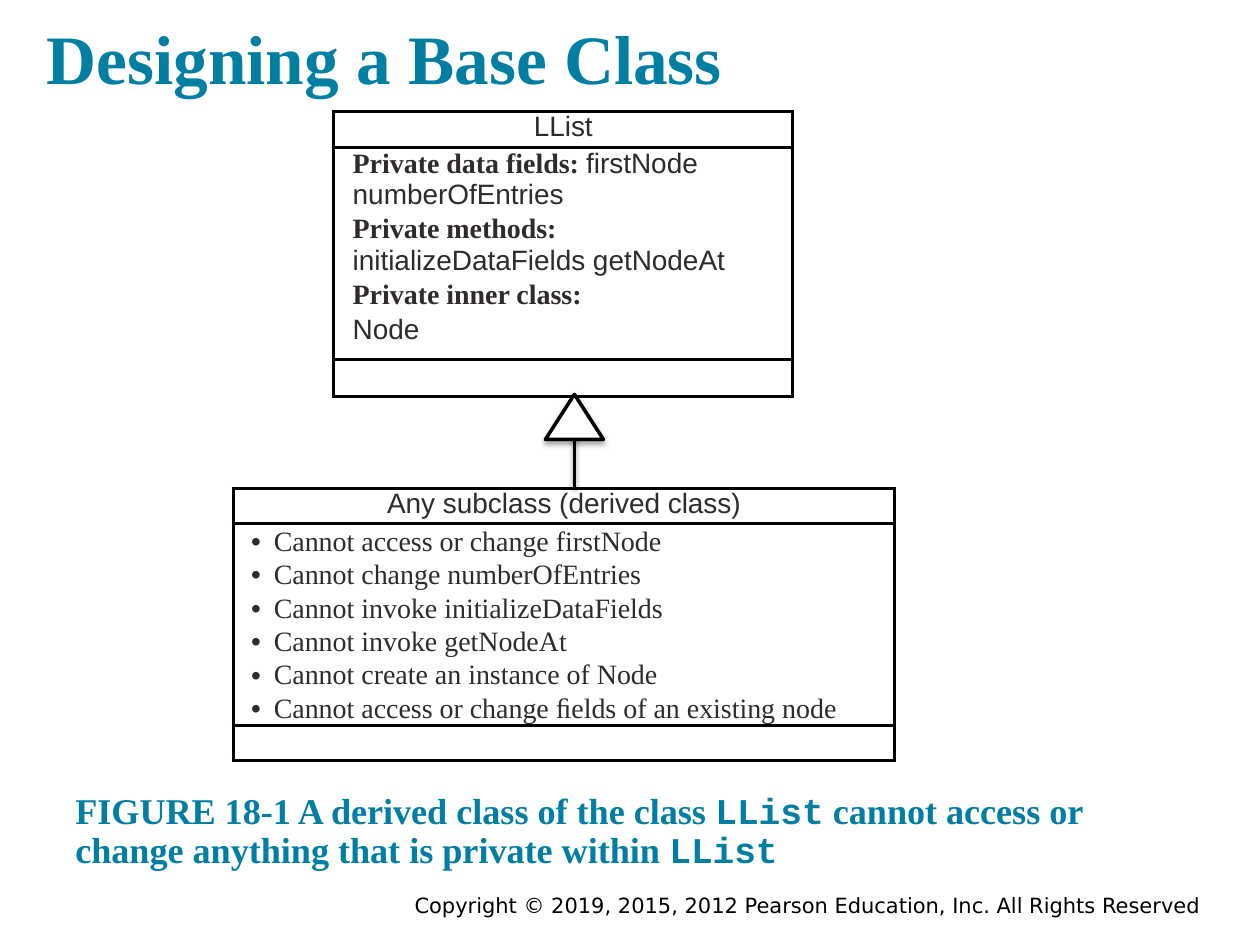
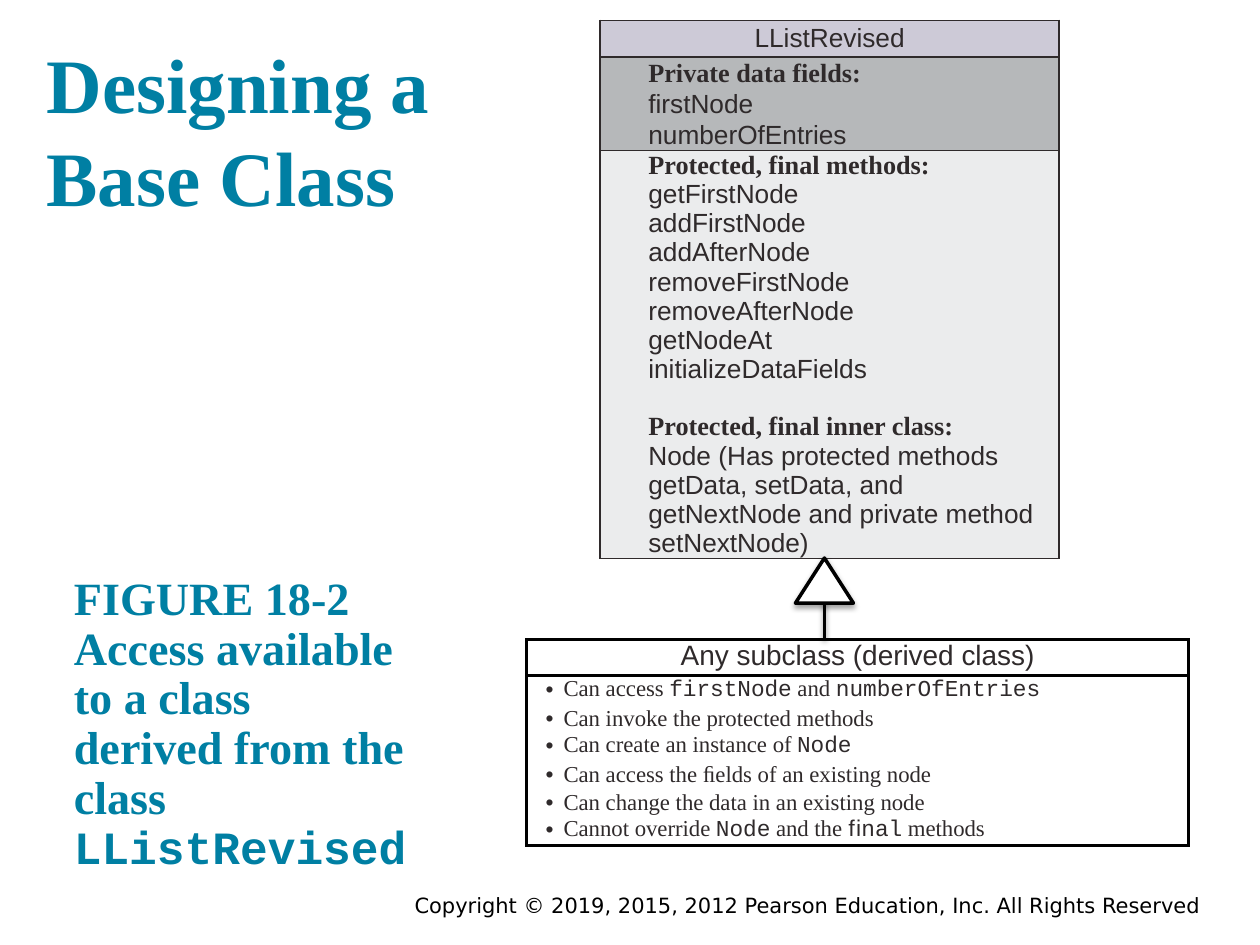
from lxml.etree import SubElement as Sub
from pptx import Presentation
from pptx.dml.color import RGBColor as Rgb
from pptx.enum.shapes import MSO_CONNECTOR as Link, MSO_SHAPE as Kind
from pptx.enum.text import MSO_ANCHOR as Anchor, PP_ALIGN as Align
from pptx.oxml.ns import qn
from pptx.util import Cm, Pt

TEAL = Rgb(0x00, 0x7F, 0xA3)
INK = Rgb(0x2F, 0x2A, 0x2B)
BLACK = Rgb(0, 0, 0)
WHITE = Rgb(255, 255, 255)
LILAC = Rgb(0xCD, 0xCA, 0xD7)
GREY = Rgb(0xB6, 0xB8, 0xBA)
PALE = Rgb(0xEB, 0xEC, 0xED)
SERIF, SANS, MONO = "Times New Roman", "Arial", "Courier New"
RIGHT = "Copyright © 2019, 2015, 2012 Pearson Education, Inc. All Rights Reserved"
BASE = "Designing a Base Class"
HEAD = "Any subclass (derived class)"

NODE = [
    "Private data fields: `firstNode numberOfEntries`",
    "Private methods: `initializeDataFields getNodeAt`",
    "Private inner class:",
    "`Node`",
]
DENY = [
    "Cannot access or change firstNode",
    "Cannot change numberOfEntries",
    "Cannot invoke initializeDataFields",
    "Cannot invoke getNodeAt",
    "Cannot create an instance of Node",
    "Cannot access or change ﬁelds of an existing node",
]
DATA = ["Private data fields:", "`firstNode`", "`numberOfEntries`"]
INNER = "Protected, final inner class:"
CALLS = [
    "Protected, final methods:",
    "`getFirstNode`",
    "`addFirstNode`",
    "`addAfterNode`",
    "`removeFirstNode`",
    "`removeAfterNode`",
    "`getNodeAt`",
    "`initializeDataFields`",
    INNER,
    "`Node (Has protected methods getData, setData, and "
    "getNextNode and private method setNextNode)`",
]
ALLOW = [
    "Can access `firstNode` and `numberOfEntries`",
    "Can invoke the protected methods",
    "Can create an instance of `Node`",
    "Can access the ﬁelds of an existing node",
    "Can change the data in an existing node",
    "Cannot override `Node` and the `ﬁnal` methods",
]


def write(frame, lines, size=16, font=SERIF, alt=MONO, color=INK, bold=False,
          heavy=False, align=Align.LEFT, lead=None, gap=0, left=0, hang=0):
    """Fill a frame with lines; parts in backticks take the alternate font."""
    for i, line in enumerate(lines):
        para = frame.add_paragraph() if i else frame.paragraphs[0]
        para.alignment = align
        if lead:
            para.line_spacing = lead
        if i and gap:
            para.space_before = Pt(gap)
        props = para._p.get_or_add_pPr()
        props.set("marL", str(Cm(left)))
        props.set("indent", str(-Cm(hang)))
        if hang:
            Sub(props, qn("a:buFont"), typeface=SANS)
            Sub(props, qn("a:buChar"), char="•")
        for j, part in enumerate(line.split("`")):
            if part:
                run = para.add_run()
                run.text = part
                run.font.name = alt if j % 2 else font
                run.font.size = Pt(size)
                run.font.bold = heavy if j % 2 else bold
                run.font.color.rgb = color
        Sub(para._p, qn("a:endParaRPr"), sz=str(int(size * 100)))


def label(slide, box, text, pad=0.25, anchor=Anchor.BOTTOM, **style):
    """Place one wrapped text box."""
    frame = slide.shapes.add_textbox(*map(Cm, box)).text_frame
    frame.word_wrap = True
    frame.vertical_anchor = anchor
    frame.margin_left = frame.margin_right = Cm(pad)
    frame.margin_top = frame.margin_bottom = Cm(pad)
    write(frame, [text], **style)


def edge(cell, color, width):
    """Draw the four borders of a cell."""
    props = cell._tc.get_or_add_tcPr()
    for side in ("lnL", "lnR", "lnT", "lnB"):
        line = Sub(props, qn("a:" + side), w=str(Pt(width)))
        Sub(Sub(line, qn("a:solidFill")), qn("a:srgbClr"), val=str(color))


def card(slide, spot, width, rows, rim=BLACK, line=2, anchor=Anchor.TOP):
    """Build a class box from rows of height, fill, lines and style."""
    x, y = spot
    total = sum(row[0] for row in rows)
    table = slide.shapes.add_table(
        len(rows), 1, Cm(x), Cm(y), Cm(width), Cm(total)).table
    table.first_row = table.horz_banding = False
    for i, (height, fill, lines, style) in enumerate(rows):
        table.rows[i].height = Cm(height)
        cell = table.cell(i, 0)
        cell.margin_left = cell.margin_right = Cm(0.18)
        cell.margin_top = cell.margin_bottom = 0
        cell.vertical_anchor = anchor
        edge(cell, rim, line)
        if fill:
            cell.fill.solid()
            cell.fill.fore_color.rgb = fill
        else:
            cell.fill.background()
        write(cell.text_frame, lines, **style)
    return table


def shade(shape):
    """Give a shape its thin black outline and soft drop shadow."""
    shape.line.color.rgb = BLACK
    shape.line.width = Pt(2)
    props = shape._element.spPr
    for old in props.findall(qn("a:effectLst")):
        props.remove(old)
    drop = Sub(Sub(props, qn("a:effectLst")), qn("a:outerShdw"),
               blurRad=str(Pt(3)), dist=str(Pt(1.7)), dir="5400000",
               rotWithShape="0")
    tint = Sub(drop, qn("a:srgbClr"), val=str(BLACK))
    Sub(tint, qn("a:alpha"), val="36000")


def arrow(slide, x, top, foot):
    """Draw an inheritance arrow centred on x, from foot up to top."""
    wide, tall = 1.17, 0.91
    shade(slide.shapes.add_connector(
        Link.STRAIGHT, Cm(x), Cm(foot), Cm(x), Cm(top + tall / 2)))
    tip = slide.shapes.add_shape(
        Kind.ISOSCELES_TRIANGLE, Cm(x - wide / 2), Cm(top), Cm(wide), Cm(tall))
    tip.fill.solid()
    tip.fill.fore_color.rgb = WHITE
    shade(tip)


def page(deck, title, size, note, small):
    """Add a slide with footer, title and caption."""
    slide = deck.slides.add_slide(deck.slide_layouts[6])
    label(slide, (4.45, 17.86, 19.89, 0.79), RIGHT, pad=0.13,
          anchor=Anchor.TOP, size=12, font="DejaVu Sans", color=BLACK,
          align=Align.RIGHT)
    look = dict(color=TEAL, bold=True, heavy=True)
    label(slide, title, BASE, size=size, **look)
    box, text = note
    label(slide, box, text, size=small, lead=0.9, **look)
    return slide


def private(deck):
    """Show the base class whose members are all private."""
    text = ("FIGURE 18-1 A derived class of the class `LList` cannot access or "
            "change anything that is private within `LList`")
    slide = page(deck, (0.69, 0, 23.65, 2.24), 39.6,
                 ((1.27, 15.57, 22.86, 2.24), text), 20.7)
    top = dict(font=SANS, align=Align.CENTER)
    card(slide, (6.73, 2.24), 9.25, [
        (0.74, None, ["LList"], top),
        (4.24, None, NODE, dict(alt=SANS, bold=True, gap=2, left=0.2)),
        (0.74, None, [""], {}),
    ])
    card(slide, (4.7, 9.85), 13.34, [
        (0.71, None, [HEAD], top),
        (4.06, None, DENY, dict(lead=Pt(19.1), left=0.64, hang=0.46)),
        (0.71, None, [""], {}),
    ])
    arrow(slide, 11.58, 7.95, 9.83)


def revised(deck):
    """Show the revised class with protected members."""
    text = ("FIGURE 18-2 Access available to a class derived from the class "
            "`LListRevised`")
    slide = page(deck, (0.69, 0, 9.6, 4.72), 44,
                 ((1.24, 10.16, 7.21, 7.72), text), 26.4)
    top = dict(font=SANS, align=Align.CENTER)
    look = dict(size=15, alt=SANS, bold=True, left=0.79)
    table = card(slide, (12.1, 0.41), 9.25, [
        (0.74, LILAC, ["LListRevised"], dict(top, size=15)),
        (1.88, GREY, DATA, dict(look, lead=Pt(17.6))),
        (8.23, PALE, CALLS, dict(look, lead=Pt(16.6))),
    ], rim=INK, line=1, anchor=Anchor.MIDDLE)
    inner = table.cell(2, 0).text_frame.paragraphs[CALLS.index(INNER)]
    inner.line_spacing = Pt(33)
    card(slide, (10.62, 12.9), 13.34, [
        (0.71, None, [HEAD], top),
        (3.43, None, ALLOW, dict(size=13, lead=Pt(16), left=0.56, hang=0.36)),
    ])
    arrow(slide, 16.62, 11.25, 12.88)


def main():
    """Build and save the deck."""
    deck = Presentation()
    deck.slide_width, deck.slide_height = Cm(25.4), Cm(19.05)
    private(deck)
    revised(deck)
    deck.save("out.pptx")


if __name__ == "__main__":
    main()
